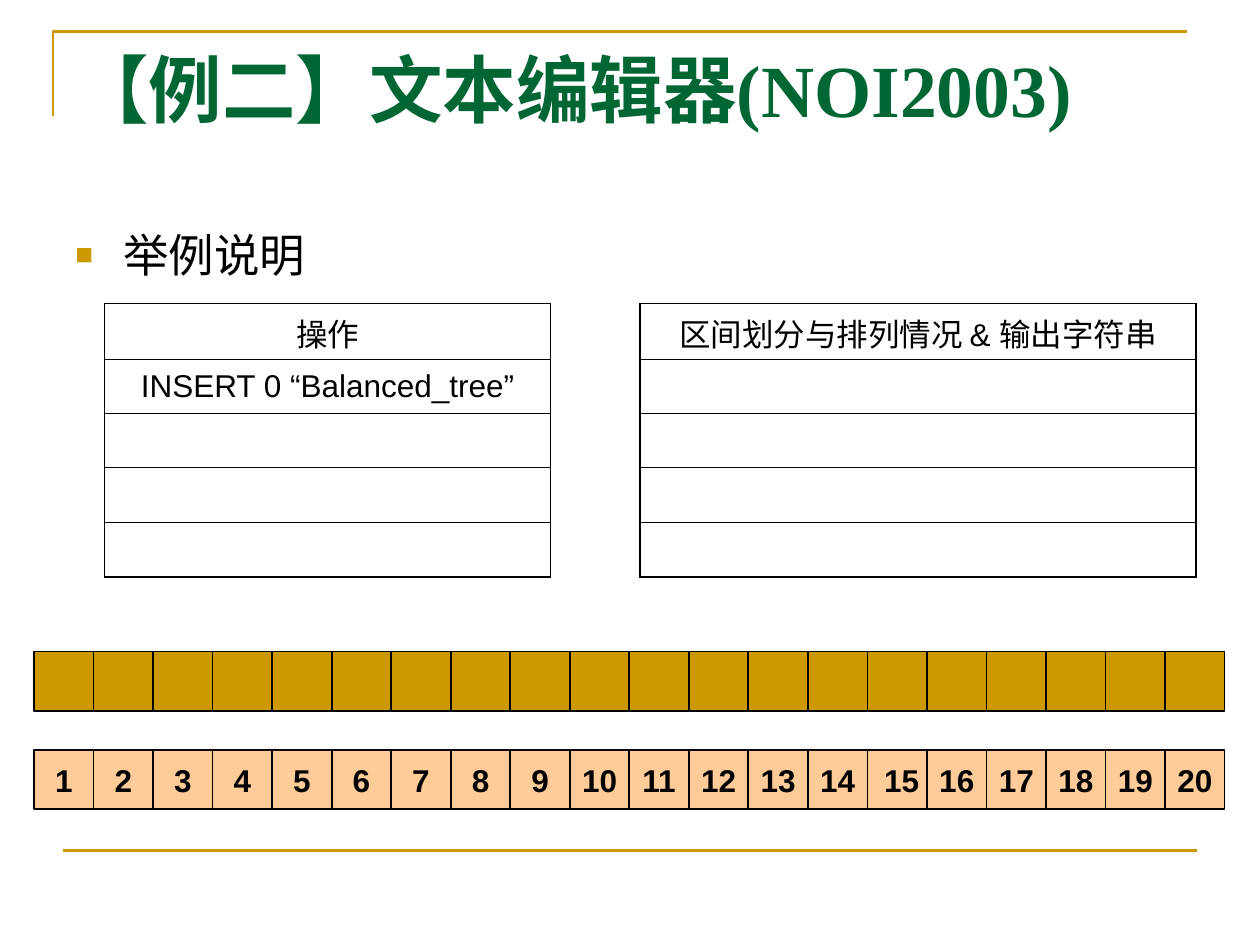
from pptx import Presentation
from pptx import util as u
from pptx.dml.color import RGBColor
from pptx.enum import shapes, text
from pptx.oxml import ns, xmlchemy as xc
from lxml import etree

GOLD = RGBColor(0xCC, 0x99, 0x00)
PEACH = RGBColor(0xFF, 0xCC, 0x99)
GREEN = RGBColor(0x00, 0x66, 0x33)
BLACK = RGBColor(0, 0, 0)
COUNT = 20
ROWS = [0.44, 0.43, 0.43, 0.44, 0.43]


def sub(parent, tag, **attrs):
    node = etree.SubElement(parent, ns.qn(tag))
    for key, val in attrs.items():
        node.set(key, str(val))
    return node


def style(para, size, color=BLACK, font="Arial", bold=False):
    for run in para.runs:
        run.font.size = u.Pt(size)
        run.font.name = font
        run.font.bold = bold
        run.font.color.rgb = color


def add_text(slide, words, left, top, width, height):
    box = slide.shapes.add_textbox(*map(u.Inches, (left, top, width, height)))
    box.text_frame.word_wrap = True
    box.text_frame.text = words
    return box.text_frame.paragraphs[0]


# Gold frame: corner at the top, rule at the bottom
def add_frame(slide, left, top, width):
    pen = slide.shapes.build_freeform(u.Inches(left), u.Inches(top + 0.67))
    pen.add_line_segments([(u.Inches(left), u.Inches(top)),
                           (u.Inches(left + width), u.Inches(top))], close=False)
    edge = pen.convert_to_shape()
    edge.fill.background()
    edge.shadow.inherit = False
    y = u.Inches(top + 6.5)
    rule = slide.shapes.add_connector(
        shapes.MSO_CONNECTOR.STRAIGHT, u.Inches(left + 0.08), y,
        u.Inches(left + 0.08 + width), y)
    sub(rule.element.spPr, "a:effectLst")
    for item in (edge, rule):
        item.line.color.rgb = GOLD
        item.line.width = u.Pt(1.5)


def add_title(slide, words, *box):
    para = add_text(slide, words, *box)
    style(para, 42, GREEN, "Times New Roman", True)


def add_body(slide, words, *box):
    para = add_text(slide, words, *box)
    para.space_before = u.Pt(6.5)
    style(para, 26)
    props = para._p.get_or_add_pPr()
    props.set("marL", str(u.Inches(0.38)))
    props.set("indent", str(-u.Inches(0.38)))
    sub(sub(props, "a:buClr"), "a:srgbClr", val=GOLD)
    sub(props, "a:buSzPct", val=65000)
    sub(props, "a:buFont", typeface="Arial")
    sub(props, "a:buChar", char="■")


def add_border(cell, first, last):
    props = cell._tc.get_or_add_tcPr()
    sides = {"L": 1.08, "R": 1.08, "T": 1.08 if first else 0.45,
             "B": 1.08 if last else 0.45}
    for at, (side, width) in enumerate(sides.items()):
        line = sub(props, "a:ln" + side, w=u.Pt(width))
        sub(sub(line, "a:solidFill"), "a:srgbClr", val=BLACK)
        props.insert(at, line)


# One-column table with a heading
def add_grid(slide, words, left, top, width):
    frame = slide.shapes.add_table(len(ROWS), 1, *map(
        u.Inches, (left, top, width, sum(ROWS))))
    table = frame.table
    table.first_row = table.horz_banding = False
    for i, height in enumerate(ROWS):
        table.rows[i].height = u.Inches(height)
        cell = table.cell(i, 0)
        cell.fill.background()
        cell.vertical_anchor = text.MSO_ANCHOR.MIDDLE
        add_border(cell, i == 0, i == len(ROWS) - 1)
        if i < len(words):
            cell.text_frame.text = words[i]
            para = cell.text_frame.paragraphs[0]
            para.alignment = text.PP_ALIGN.CENTER
            style(para, 18)


# Strip of equal squares
def add_strip(slide, labels, fill, left, top, width):
    group = slide.shapes.add_group_shape()
    step = width / COUNT
    for i, label in enumerate(labels):
        box = group.shapes.add_shape(shapes.MSO_SHAPE.RECTANGLE, *map(
            u.Inches, (left + i * step, top, step, step)))
        box.shadow.inherit = False
        box.fill.solid()
        box.fill.fore_color.rgb = fill
        box.line.color.rgb = BLACK
        box.line.width = u.Pt(0.99)
        if label:
            box.text_frame.word_wrap = False
            box.text_frame.vertical_anchor = text.MSO_ANCHOR.MIDDLE
            box.text_frame.text = label
            para = box.text_frame.paragraphs[0]
            para.alignment = text.PP_ALIGN.CENTER
            style(para, 18, bold=True)


def build():
    deck = Presentation()
    deck.slide_width, deck.slide_height = u.Inches(10), u.Inches(7.5)
    slide = deck.slides.add_slide(deck.slide_layouts[6])
    add_frame(slide, 0.42, 0.25, 9)
    add_title(slide, "【例二】文本编辑器(NOI2003)", 0.5, 0.3, 9, 1.25)
    add_body(slide, "举例说明", 0.5, 1.75, 4.42, 4.95)
    add_strip(slide, [""] * COUNT, GOLD, 0.27, 5.17, 9.45)
    add_grid(slide, ["操作", "INSERT 0 “Balanced_tree”"], 0.83, 2.41, 3.54)
    add_grid(slide, ["区间划分与排列情况 & 输出字符串"], 5.08, 2.41, 4.41)
    labels = [str(n) for n in range(1, COUNT + 1)]
    labels[14] = " 15"
    add_strip(slide, labels, PEACH, 0.27, 5.95, 9.45)
    deck.save("out.pptx")


build()
